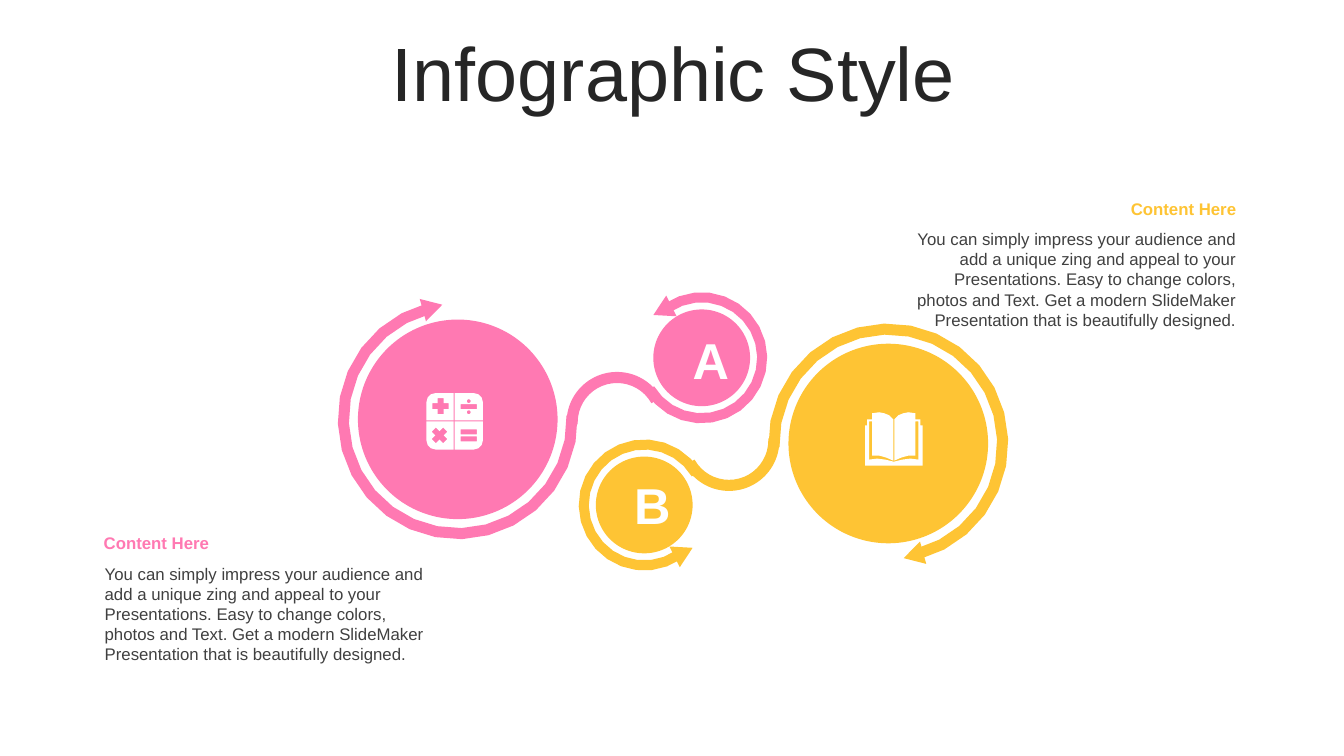
from math import cos, radians, sin

from pptx import Presentation
from pptx.dml.color import RGBColor
from pptx.enum.shapes import MSO_SHAPE
from pptx.enum.text import MSO_ANCHOR, PP_ALIGN
from pptx.util import Inches, Pt

PINK, YELLOW, WHITE = "FF79B2", "FEC434", "FFFFFF"
DARK, GREY = "262626", "404040"
BODY = (
    "You can simply impress your audience and add a unique zing and appeal to your "
    "Presentations. Easy to change colors, photos and Text. Get a modern SlideMaker "
    "Presentation that is beautifully designed."
)


def rgb(value):
    return RGBColor.from_string(value)


def arc(cx, cy, radius, start, end, steps):
    angles = [radians(start + (end - start) * i / steps) for i in range(steps + 1)]
    return [(cx + radius * cos(a), cy + radius * sin(a)) for a in angles]


def band(cx, cy, outer, inner, start, end):
    return arc(cx, cy, outer, start, end, 20) + arc(cx, cy, inner, end, start, 20)


def rect(left, top, width, height):
    right, bottom = left + width, top + height
    return [(left, top), (right, top), (right, bottom), (left, bottom)]


def cross(cx, cy, reach, half, angle=0):
    arm = [(half, -half), (reach, -half), (reach, half)]
    points = []
    for turn in range(4):
        a = radians(angle + 90 * turn)
        points += [(cx + x * cos(a) - y * sin(a), cy + x * sin(a) + y * cos(a)) for x, y in arm]
    return points


class Infographic:
    """Style and drawing methods for the current slide."""

    font = "Arial"

    def __init__(self, s):
        self.s = s

    def paint(self, sp, color):
        sp.shadow.inherit = False
        sp.fill.solid()
        sp.fill.fore_color.rgb = rgb(color)
        sp.line.fill.background()

    def preset(self, kind, center, width, height, color, rotation=0, adjust=()):
        cx, cy = center
        sp = self.s.shapes.add_shape(
            kind, Inches(cx - width / 2), Inches(cy - height / 2), Inches(width), Inches(height)
        )
        for i, value in enumerate(adjust):
            sp.adjustments[i] = value
        sp.rotation = rotation
        self.paint(sp, color)

    def outline(self, contours, color):
        builder = None
        for contour in contours:
            start, *rest = [(Inches(x), Inches(y)) for x, y in contour]
            if builder is None:
                builder = self.s.shapes.build_freeform(*start)
            else:
                builder.move_to(*start)
            builder.add_line_segments(rest, close=True)
        self.paint(builder.convert_to_shape(), color)

    def text(self, text, left, top, width, height, size=12, color=GREY, bold=False,
             align=PP_ALIGN.LEFT, anchor=MSO_ANCHOR.TOP, spacing=1.0):
        box = self.s.shapes.add_textbox(Inches(left), Inches(top), Inches(width), Inches(height))
        tf = box.text_frame
        tf.word_wrap = True
        tf.vertical_anchor = anchor
        p = tf.paragraphs[0]
        p.alignment = align
        p.line_spacing = spacing
        r = p.add_run()
        r.text = text
        r.font.name = self.font
        r.font.size = Pt(size)
        r.font.bold = bold
        r.font.color.rgb = rgb(color)

    def swirl(self, color, turn):
        def place(x, y):
            return (13.35 - x, 8.56 - y) if turn else (x, y)

        large, small = place(4.54, 4.16), place(6.96, 3.55)
        self.outline([band(*large, 1.19, 1.08, turn - 2, turn + 255)], color)
        self.outline([band(*small, 0.65, 0.55, turn - 124, turn + 149)], color)
        self.preset(MSO_SHAPE.OVAL, large, 1.98, 1.98, color)
        self.preset(MSO_SHAPE.OVAL, small, 0.96, 0.96, color)
        self.preset(MSO_SHAPE.BLOCK_ARC, place(6.12, 4.19), 1, 1, color, turn, (106.2, 198.6, 0.11))
        for center, angle in ((place(4.29, 3.05), 74.4), (place(6.57, 3.08), 243.3)):
            self.preset(MSO_SHAPE.ISOSCELES_TRIANGLE, center, 0.23, 0.2, color, (angle + turn) % 360)

    def calculator(self):
        panels = [
            [(4.5, 3.9), (4.5, 4.17), (4.23, 4.17)] + arc(4.32, 3.99, 0.09, 180, 270, 3),
            [(4.79, 4.17), (4.51, 4.17), (4.51, 3.9)] + arc(4.7, 3.99, 0.09, 270, 360, 3),
            [(4.51, 4.46), (4.51, 4.18), (4.79, 4.18)] + arc(4.7, 4.37, 0.09, 0, 90, 3),
            [(4.23, 4.18), (4.5, 4.18), (4.5, 4.46)] + arc(4.32, 4.37, 0.09, 90, 180, 3),
        ]
        signs = [cross(4.37, 4.03, 0.08, 0.03), cross(4.36, 4.32, 0.08, 0.03, 45)]
        signs += [rect(4.57, y, 0.16, 0.05) for y in (4.01, 4.26, 4.33)]
        signs += [arc(4.65, y, 0.02, 0, 315, 7) for y in (3.98, 4.09)]
        self.outline(panels + signs, WHITE)

    def book(self):
        right = [
            (8.87, 4.58), (8.95, 4.56), (9.03, 4.55), (9.11, 4.56), (9.11, 4.18),
            (9.08, 4.18), (9.08, 4.52), (9.01, 4.52), (8.94, 4.54), (8.87, 4.57),
            (8.87, 4.16), (8.91, 4.12), (8.96, 4.1), (9.01, 4.09), (9.08, 4.1),
            (9.08, 4.16), (9.13, 4.16), (9.13, 4.22), (9.15, 4.22), (9.15, 4.62),
        ]
        left = [(17.73 - x, y) for x, y in reversed(right)]
        self.outline([right + left], WHITE)

    def note(self, left, top, color, align):
        self.text("Content Here", left, top, 3.41, 0.3, color=color, bold=True, align=align)
        self.text(BODY, left + 0.01, top + 0.3, 3.4, 1.11, align=align)


def main():
    prs = Presentation()
    prs.slide_width, prs.slide_height = Inches(13.33), Inches(7.5)
    page = Infographic(prs.slides.add_slide(prs.slide_layouts[6]))
    page.text("Infographic Style", 0.35, 0.37, 12.66, 0.79, size=54, color=DARK,
              align=PP_ALIGN.CENTER, anchor=MSO_ANCHOR.MIDDLE, spacing=0.9)
    page.swirl(PINK, 0)
    page.swirl(YELLOW, 180)
    page.note(0.93, 5.24, PINK, PP_ALIGN.LEFT)
    page.note(8.95, 1.92, YELLOW, PP_ALIGN.RIGHT)
    for letter, left, top in (("A", 6.77, 3.21), ("B", 6.19, 4.65)):
        page.text(letter, left, top, 0.41, 0.71, size=36, color=WHITE, bold=True,
                  align=PP_ALIGN.CENTER, anchor=MSO_ANCHOR.MIDDLE)
    page.calculator()
    page.book()
    prs.save("out.pptx")


if __name__ == "__main__":
    main()
